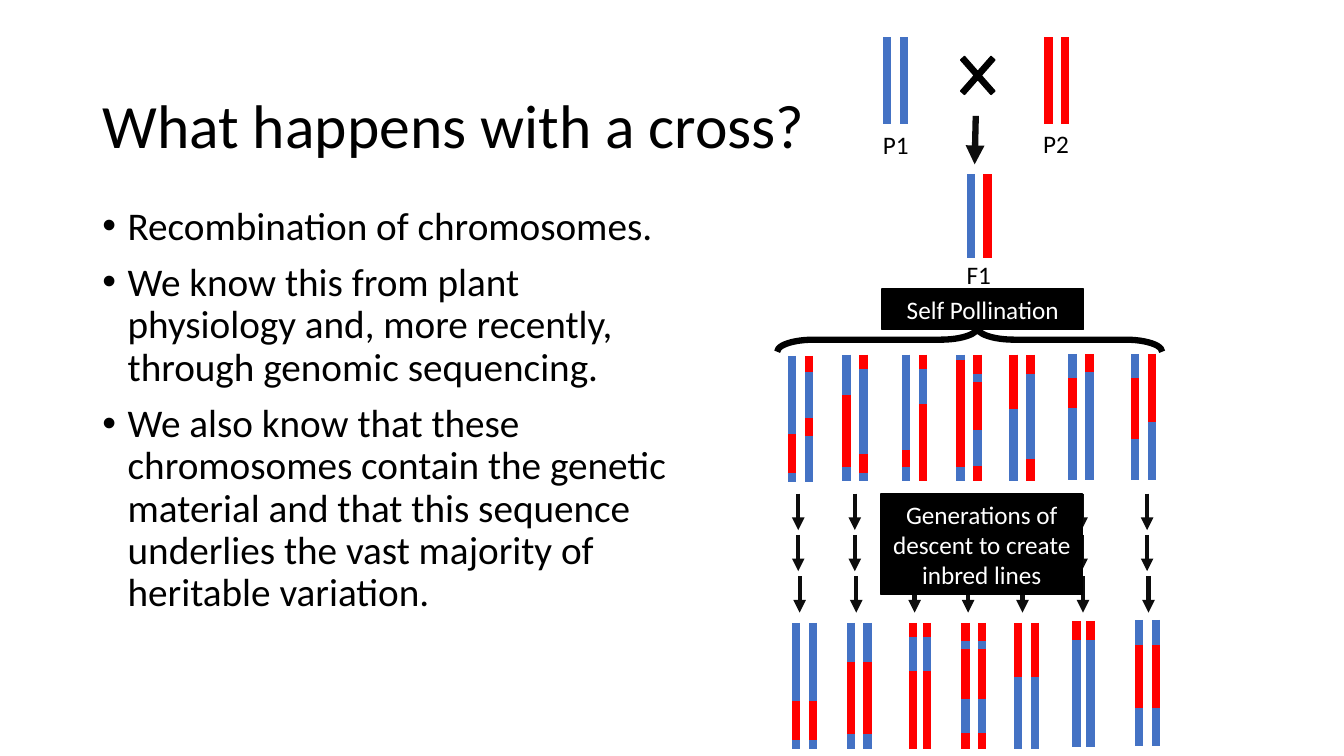
from lxml import etree
from pptx import Presentation
from pptx import util as u
from pptx.dml.color import RGBColor
from pptx.enum import shapes, text
from pptx.oxml import ns

BLUE = RGBColor(0x44, 0x72, 0xC4)
RED = RGBColor(0xFF, 0x00, 0x00)
BLACK = RGBColor(0x00, 0x00, 0x00)
ARROW = RGBColor(0x0D, 0x0D, 0x0D)
WHITE = RGBColor(0xFF, 0xFF, 0xFF)
OTHER = {BLUE: RED, RED: BLUE}

LENGTH = 90
GAP = 12

TITLE = "What happens with a cross?"
POINTS = [
    "Recombination of chromosomes.",
    "We know this from plant physiology and, more recently, through genomic sequencing.",
    "We also know that these chromosomes contain the genetic material and that this "
    "sequence underlies the vast majority of heritable variation.",
]

PARENTS = [
    ("P1", 633.6, 26.6, 62, BLUE, BLUE, 623.5, 88.6),
    ("P2", 748.8, 26.6, 62, RED, RED, 738, 87.8),
    ("F1", 693.4, 124.6, 59.8, BLUE, RED, 683.3, 181.4),
]

SELFED = [
    (565.9, 254.2, [(56, 83.5)], [(11.5, 44.6), (57, 90)]),
    (604.8, 253.4, [(28.8, 80)], [(10, 70.6), (84.2, 90)]),
    (647.3, 253.4, [(67.7, 80)], [(10, 35.3)]),
    (686.2, 253.4, [(3.6, 80)], [(13.7, 19.4), (54, 79.2)]),
    (724, 253.4, [(0, 38.9)], [(13.7, 74.2)]),
    (766.1, 252.7, [(17.3, 38.9)], [(13, 90)]),
    (810.7, 252.7, [(17.3, 61.2)], [(49, 90)]),
]

INBRED = [
    (568.8, 445, GAP, BLUE, [(56, 83.5)]),
    (607.7, 445, GAP, BLUE, [(28, 79.2)]),
    (652.3, 445, 10, RED, [(10, 34.6)]),
    (689.8, 445, 11.5, RED, [(13, 18.7), (54, 78.5)]),
    (727.2, 445, GAP, BLUE, [(0, 38.9)]),
    (769, 443.5, 10, RED, [(13.7, 90)]),
    (813.6, 442.8, GAP, BLUE, [(18, 62.6)]),
]

ARROW_COLUMNS = [570.2, 610.6, 652.3, 690.5, 729.4, 772.6, 819.4]
ARROW_ROWS = [
    (352.6, 0, range(7)),
    (382, 0, (0, 1, 5, 6)),
    (411.6, 1, range(7)),
]


class CrossSlide:
    font = "Calibri"

    def __init__(self, presentation):
        self.slide = presentation.slides.add_slide(presentation.slide_layouts[1])

    def apply(self, target, values):
        for name, value in values.items():
            setattr(target, name, value)

    def place(self, shape, left, top, width, height):
        self.apply(shape, {
            "left": u.Pt(left), "top": u.Pt(top),
            "width": u.Pt(width), "height": u.Pt(height),
        })

    def fill_text(self, shape, lines, size, color, anchor, **paragraph_format):
        frame = shape.text_frame
        self.apply(frame, {
            "text": "\n".join(lines),
            "word_wrap": True,
            "auto_size": text.MSO_AUTO_SIZE.NONE,
            "vertical_anchor": anchor,
        })
        for paragraph in frame.paragraphs:
            self.apply(paragraph, paragraph_format)
            self.apply(paragraph.font, {"name": self.font, "size": u.Pt(size)})
            paragraph.font.color.rgb = color

    def title(self, words, box):
        shape = self.slide.shapes.title
        self.place(shape, *box)
        self.fill_text(shape, [words], 44, BLACK, text.MSO_ANCHOR.MIDDLE,
                       alignment=text.PP_ALIGN.LEFT, line_spacing=0.9)

    def bullets(self, lines, box):
        shape = self.slide.placeholders[1]
        self.place(shape, *box)
        self.fill_text(shape, lines, 28, BLACK, text.MSO_ANCHOR.TOP,
                       line_spacing=0.9, space_before=u.Pt(10))
        for paragraph in shape.text_frame.paragraphs:
            properties = paragraph._p.get_or_add_pPr()
            properties.set("marL", str(u.Pt(18)))
            properties.set("indent", str(u.Pt(-18)))

    def label(self, words, left, top):
        shape = self.slide.shapes.add_textbox(u.Pt(left), u.Pt(top), u.Pt(40), u.Pt(29))
        self.fill_text(shape, [words], 18, BLACK, text.MSO_ANCHOR.TOP)

    def shape(self, kind, box, fill=None, width=1, adjustment=()):
        shape = self.slide.shapes.add_shape(kind, *map(u.Pt, box))
        shape.shadow.inherit = False
        for index, value in enumerate(adjustment):
            shape.adjustments[index] = value
        if fill is None:
            shape.fill.background()
        else:
            shape.fill.solid()
            shape.fill.fore_color.rgb = fill
        shape.line.color.rgb = BLACK
        shape.line.width = u.Pt(width)
        return shape

    def caption(self, words, box):
        shape = self.shape(shapes.MSO_SHAPE.RECTANGLE, box, BLACK)
        self.fill_text(shape, [words], 18, WHITE, text.MSO_ANCHOR.MIDDLE,
                       alignment=text.PP_ALIGN.CENTER)

    def line(self, start, end, color, width):
        connector = self.slide.shapes.add_connector(
            shapes.MSO_CONNECTOR.STRAIGHT, *map(u.Pt, (*start, *end)))
        connector.line.color.rgb = color
        connector.line.width = u.Pt(width)
        etree.SubElement(connector._element.spPr, ns.qn("a:effectLst"))
        return connector

    def arrow(self, start, end, width):
        connector = self.line(start, end, ARROW, width)
        etree.SubElement(connector.line._get_or_add_ln(), ns.qn("a:tailEnd"), type="triangle")

    def strand(self, x, top, color, bands=(), length=LENGTH):
        self.line((x, top), (x, top + length), color, 6)
        for start, end in bands:
            self.line((x, top + start), (x, top + end), OTHER[color], 6)


def main():
    presentation = Presentation()
    presentation.slide_width = u.Pt(960)
    presentation.slide_height = u.Pt(540)
    cross = CrossSlide(presentation)

    brace = cross.shape(shapes.MSO_SHAPE.RIGHT_BRACE, (684, 105.1, 17.3, 275),
                        width=4.5, adjustment=(1.51, 0.52))
    brace.rotation = 270
    cross.title(TITLE, (66, 28.75, 520.5, 126))
    cross.bullets(POINTS, (66, 143.75, 432, 342.6))

    for name, x, top, length, left, right, label_left, label_top in PARENTS:
        cross.strand(x, top, left, length=length)
        cross.strand(x + GAP, top, right, length=length)
        cross.label(name, label_left, label_top)
    cross.shape(shapes.MSO_SHAPE.MATH_MULTIPLY, (677.5, 30.2, 41.8, 47.5),
                BLACK, adjustment=(0.09,))
    cross.arrow((697, 82.8), (696.2, 117.4), 4.5)
    cross.caption("Self Pollination", (630, 206.6, 144, 28.8))

    for x, top, left_bands, right_bands in SELFED:
        cross.strand(x, top, BLUE, left_bands)
        cross.strand(x + GAP, top, RED, right_bands)

    for top, shift, columns in ARROW_ROWS:
        for column in columns:
            x = ARROW_COLUMNS[column] + shift
            cross.arrow((x, top), (x, top + 26), 3)
    cross.caption("Generations of descent to create inbred lines", (629.3, 352.8, 144, 72))

    for x, top, gap, color, bands in INBRED:
        for strand_x in (x, x + gap):
            cross.strand(strand_x, top, color, bands)

    presentation.save("out.pptx")


if __name__ == "__main__":
    main()
